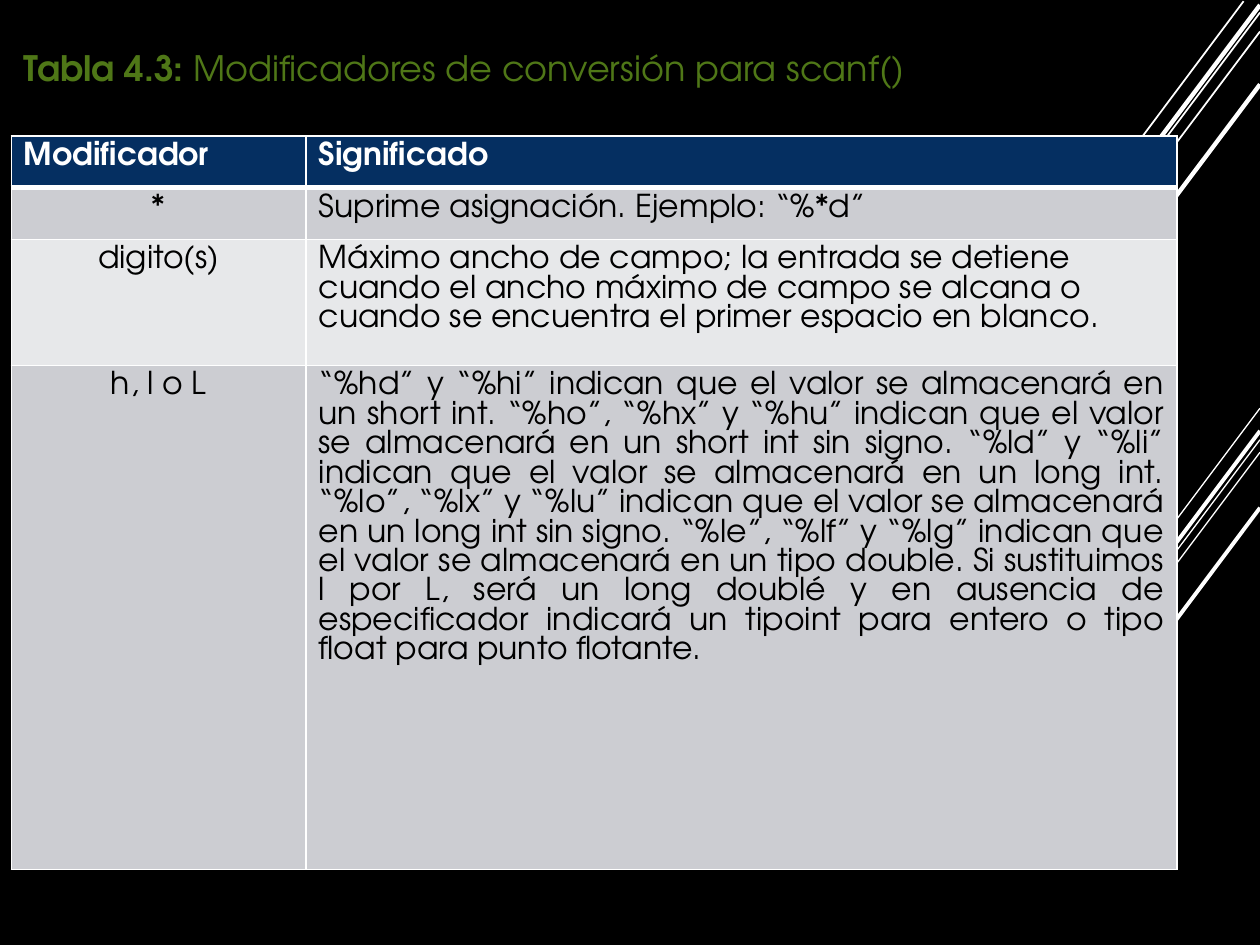
from dataclasses import dataclass

from lxml import etree
from pptx import Presentation
from pptx.dml.color import RGBColor
from pptx.enum.shapes import MSO_CONNECTOR
from pptx.enum.text import PP_ALIGN
from pptx.oxml.ns import qn
from pptx.util import Inches, Pt

STRAIGHT = MSO_CONNECTOR.STRAIGHT
LEFT, CENTER, JUSTIFY = PP_ALIGN.LEFT, PP_ALIGN.CENTER, PP_ALIGN.JUSTIFY


@dataclass(frozen=True)
class Theme:
    font: str = "TeX Gyre Adventor"
    background: str = "000000"
    white: str = "FFFFFF"
    black: str = "000000"
    title: str = "4F7717"
    header: str = "052F61"
    bands: tuple = ("CCCDD2", "E7E8EA")
    title_size: float = 20
    table_size: float = 18
    table_leading: float = 16.8
    border: float = 1
    header_border: float = 3


THEME = Theme()

# Each stripe: start x, start y, end x, end y, width in points
LOWER_STRIPES = [
    (10, 3.24, 9.25, 4.24, 0.75),
    (10, 3.49, 7.55, 6.75, 0.75),
    (10, 3.59, 8.44, 5.67, 0.75),
    (10, 3.42, 8.57, 5.33, 2.25),
    (10, 4.03, 8.96, 5.42, 2.25),
]
UPPER_STRIPES = [
    (9.87, 0.01, 6.75, 4.18, 1),
    (10, 0.1, 5.01, 6.75, 1),
    (10, 0.25, 5.93, 5.67, 1),
    (10, 0.04, 6.02, 5.34, 2.5),
    (10, 0.67, 6.43, 5.42, 2.5),
]

COLUMN_WIDTHS = (2.34, 6.91)
ROW_HEIGHTS = (0.41, 0.41, 1, 4)
HEADINGS = ("Modificador", "Significado")
MODIFIERS = [
    ("*", "Suprime asignación. Ejemplo: “%*d”", LEFT),
    ("digito(s)",
     "Máximo ancho de campo; la entrada se detiene cuando el ancho máximo de "
     "campo se alcana o cuando se encuentra el primer espacio en blanco.", LEFT),
    ("h, l o L",
     "“%hd” y “%hi” indican que el valor se almacenará en un short int. "
     "“%ho”, “%hx” y “%hu” indican que el valor se almacenará en un short int "
     "sin signo. “%ld” y “%li” indican que el valor se almacenará en un long "
     "int. “%lo”, “%lx” y “%lu” indican que el valor se almacenará en un long "
     "int sin signo. “%le”, “%lf” y “%lg” indican que el valor se almacenará "
     "en un tipo double. Si sustituimos l por L, será un long doublé y en "
     "ausencia de especificador indicará un tipoint para entero o tipo float "
     "para punto flotante.", JUSTIFY),
]


def rgb(color):
    return RGBColor.from_string(color)


def write(frame, *spans, size, color, align=LEFT, leading=None):
    """Fill the frame's first paragraph with (text, bold) spans."""
    frame.word_wrap = True
    para = frame.paragraphs[0]
    para.alignment = align
    if leading:
        para.line_spacing = Pt(leading)
    for text, bold in spans:
        span = para.add_run()
        span.text = text
        span.font.name = THEME.font
        span.font.size = Pt(size)
        span.font.bold = bold
        span.font.color.rgb = rgb(color)


def add_stripes(page, stripes):
    for x1, y1, x2, y2, width in stripes:
        stripe = page.shapes.add_connector(
            STRAIGHT, Inches(x1), Inches(y1), Inches(x2), Inches(y2))
        stripe.line.color.rgb = rgb(THEME.white)
        stripe.line.width = Pt(width)
        etree.SubElement(stripe._element.spPr, qn("a:effectLst"))


def add_title(page, left, top, width, height):
    box = page.shapes.add_textbox(
        Inches(left), Inches(top), Inches(width), Inches(height))
    write(box.text_frame, ("Tabla 4.3:", True),
          (" Modificadores de conversión para scanf()", False),
          size=THEME.title_size, color=THEME.title, align=JUSTIFY)


def set_borders(cell, top, bottom):
    """Draw white borders; they must precede the fill in the cell's XML."""
    properties = cell._tc.get_or_add_tcPr()
    widths = {"lnL": THEME.border, "lnR": THEME.border, "lnT": top, "lnB": bottom}
    for position, (side, width) in enumerate(widths.items()):
        line = etree.Element(qn(f"a:{side}"), w=str(Pt(width)))
        fill = etree.SubElement(line, qn("a:solidFill"))
        etree.SubElement(fill, qn("a:srgbClr"), val=THEME.white)
        properties.insert(position, line)


def fill_cell(cell, text, fill, color, bold=False, align=LEFT,
              top=THEME.border, bottom=THEME.border):
    cell.fill.solid()
    cell.fill.fore_color.rgb = rgb(fill)
    set_borders(cell, top, bottom)
    write(cell.text_frame, (text, bold), size=THEME.table_size, color=color,
          align=align, leading=THEME.table_leading)


def add_modifier_table(page, left, top):
    table = page.shapes.add_table(
        len(ROW_HEIGHTS), len(COLUMN_WIDTHS), Inches(left), Inches(top),
        Inches(sum(COLUMN_WIDTHS)), Inches(sum(ROW_HEIGHTS))).table
    for column, width in zip(table.columns, COLUMN_WIDTHS):
        column.width = Inches(width)
    for row, height in zip(table.rows, ROW_HEIGHTS):
        row.height = Inches(height)

    for column, heading in enumerate(HEADINGS):
        fill_cell(table.cell(0, column), heading, THEME.header, THEME.white,
                  bold=True, bottom=THEME.header_border)
    for row, (modifier, meaning, align) in enumerate(MODIFIERS, start=1):
        band = THEME.bands[(row - 1) % len(THEME.bands)]
        edge = THEME.header_border if row == 1 else THEME.border
        fill_cell(table.cell(row, 0), modifier, band, THEME.black,
                  align=CENTER, top=edge)
        fill_cell(table.cell(row, 1), meaning, band, THEME.black,
                  align=align, top=edge)


def main():
    deck = Presentation()
    deck.slide_width, deck.slide_height = Inches(10), Inches(7.5)
    page = deck.slides.add_slide(deck.slide_layouts[6])
    page.background.fill.solid()
    page.background.fill.fore_color.rgb = rgb(THEME.background)
    add_stripes(page, LOWER_STRIPES + UPPER_STRIPES)
    add_title(page, 0.09, 0.32, 9.5, 1.78)
    add_modifier_table(page, 0.09, 1.08)
    deck.save("out.pptx")


if __name__ == "__main__":
    main()
